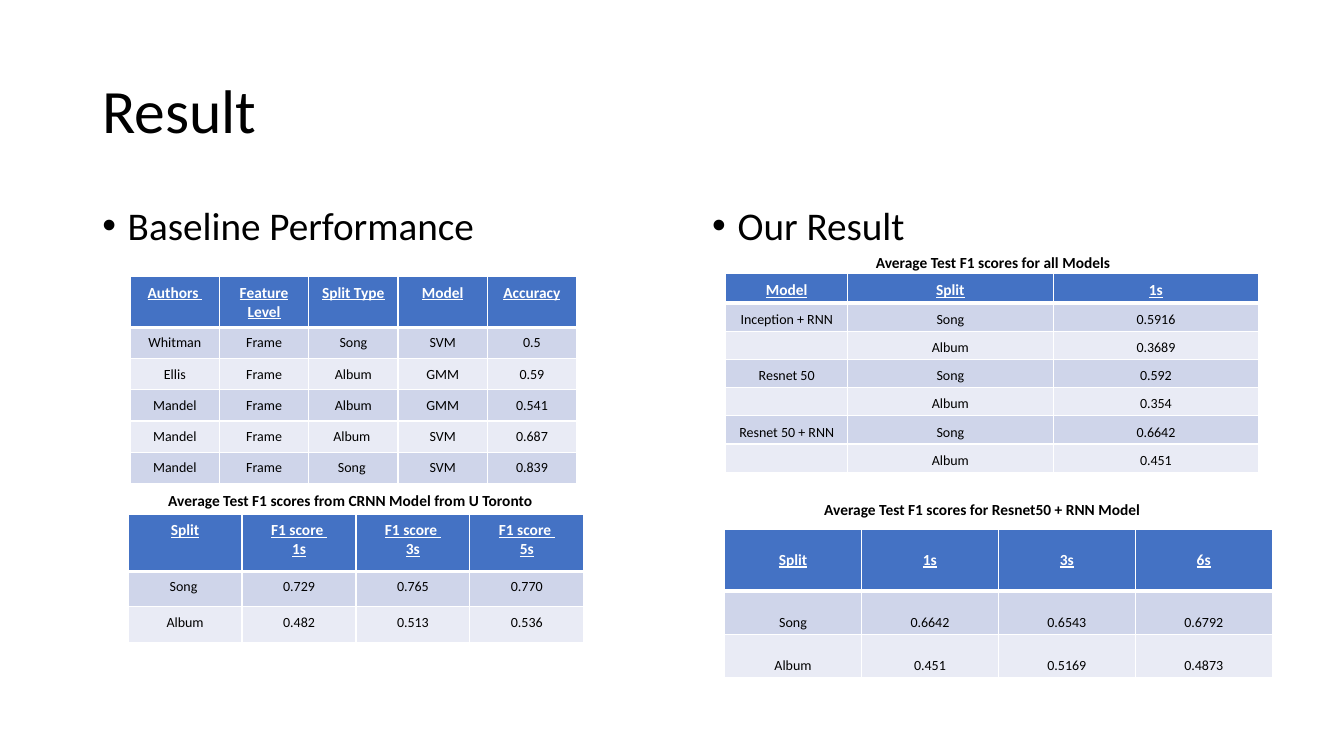
"""Build the Result slide with baseline and own F1 score tables."""
from lxml.etree import SubElement
from pptx import Presentation
from pptx.dml.color import RGBColor
from pptx.enum.text import MSO_ANCHOR, PP_ALIGN
from pptx.oxml.ns import qn
from pptx.util import Cm, Pt


def style(p, size, color="000000", bold=False, underline=False, align=PP_ALIGN.LEFT):
    p.alignment = align
    for r in p.runs:
        r.font.name = "Calibri"
        r.font.size = Pt(size)
        r.font.bold = bold
        r.font.underline = underline
        r.font.color.rgb = RGBColor.from_string(color)
    if not p.runs:
        SubElement(p._p, qn("a:endParaRPr"), sz=str(size * 100))


def add_text(s, text, left, top, width, height):
    tf = s.shapes.add_textbox(Cm(left), Cm(top), Cm(width), Cm(height)).text_frame
    tf.word_wrap = True
    tf.text = text
    return tf


prs = Presentation()
prs.slide_width, prs.slide_height = Cm(33.87), Cm(19.05)
s = prs.slides.add_slide(prs.slide_layouts[6])

tf = add_text(s, "Result", 2.33, 1.01, 29.21, 3.68)
tf.vertical_anchor = MSO_ANCHOR.MIDDLE
tf.paragraphs[0].line_spacing = 0.9
style(tf.paragraphs[0], 44)

for heading, left in [("Baseline Performance", 2.33), ("Our Result", 17.7)]:
    p = add_text(s, heading, left, 5.07, 14.4, 12.09).paragraphs[0]
    p.line_spacing = 0.9
    pPr = p._p.get_or_add_pPr()
    pPr.set("marL", str(Cm(0.64)))
    pPr.set("indent", str(Cm(-0.64)))
    SubElement(pPr, qn("a:buFont"), typeface="Arial")
    SubElement(pPr, qn("a:buChar"), char="•")
    style(p, 28)

TOP, MIDDLE, BOTTOM = MSO_ANCHOR.TOP, MSO_ANCHOR.MIDDLE, MSO_ANCHOR.BOTTOM
tables = [
    (3.28, 6.96, [2.25] * 5, 1.29, 0.78, 0.18, TOP, TOP, [
        ["Authors ", "Feature Level", "Split Type", "Model", "Accuracy"],
        ["Whitman", "Frame", "Song", "SVM", "0.5"],
        ["Ellis", "Frame", "Album", "GMM", "0.59"],
        ["Mandel", "Frame", "Album", "GMM", "0.541"],
        ["Mandel", "Frame", "Album ", "SVM", "0.687"],
        ["Mandel", "Frame", "Song ", "SVM", "0.839"],
    ]),
    (3.23, 12.95, [2.87] * 4, 1.45, 0.89, 0.18, TOP, TOP, [
        ["Split", "F1 score \n1s", "F1 score \n3s", "F1 score \n5s"],
        ["Song ", "0.729", "0.765", "0.770"],
        ["Album", "0.482", "0.513", "0.536"],
    ]),
    (18.29, 6.88, [3.07, 5.18, 5.18], 0.76, 0.71, 0.08, BOTTOM, BOTTOM, [
        ["Model", "Split", "1s"],
        ["Inception + RNN", "Song", "0.5916"],
        ["", "Album", "0.3689"],
        ["Resnet 50", "Song", "0.592"],
        ["", "Album", "0.354"],
        ["Resnet 50 + RNN", "Song", "0.6642"],
        ["", "Album", "0.451"],
    ]),
    (18.26, 13.34, [3.45] * 4, 1.55, 1.09, 0.08, MIDDLE, BOTTOM, [
        ["Split", "1s", "3s", "6s"],
        ["Song", "0.6642", "0.6543", "0.6792"],
        ["Album", "0.451", "0.5169", "0.4873"],
    ]),
]
for left, top, widths, head_height, row_height, margin, head_anchor, anchor, rows in tables:
    height = head_height + row_height * (len(rows) - 1)
    table = s.shapes.add_table(len(rows), len(widths), Cm(left), Cm(top),
                               Cm(sum(widths)), Cm(height)).table
    for column, width in zip(table.columns, widths):
        column.width = Cm(width)
    for i, row in enumerate(rows):
        head = i == 0
        table.rows[i].height = Cm(head_height if head else row_height)
        for j, text in enumerate(row):
            cell = table.cell(i, j)
            cell.text = text
            cell.margin_left = cell.margin_right = Cm(margin)
            cell.margin_top = cell.margin_bottom = Cm(margin)
            cell.vertical_anchor = head_anchor if head else anchor
            for p in cell.text_frame.paragraphs:
                if head:
                    style(p, 11, "FFFFFF", True, True, PP_ALIGN.CENTER)
                else:
                    style(p, 10, align=PP_ALIGN.CENTER)
            for side in "LRTB":
                thick = (i, side) in [(0, "B"), (1, "T")]
                ln = SubElement(cell._tc.get_or_add_tcPr(), qn(f"a:ln{side}"),
                                w=str(Pt(3 if thick else 1)))
                SubElement(SubElement(ln, qn("a:solidFill")), qn("a:srgbClr"), val="FFFFFF")
            fill = "4472C4" if head else "CFD5EA" if i % 2 else "E9EBF5"
            cell.fill.solid()
            cell.fill.fore_color.rgb = RGBColor.from_string(fill)

captions = [
    ("Average Test F1 scores for Resnet50 + RNN Model", 20.52, 12.47, PP_ALIGN.LEFT),
    ("Average Test F1 scores for all Models", 20.09, 6.25, PP_ALIGN.CENTER),
    ("Average Test F1 scores from CRNN Model from U Toronto", 3.99, 12.24, PP_ALIGN.LEFT),
]
for text, left, top, align in captions:
    tf = add_text(s, text, left, top, 9.88, 0.73)
    style(tf.paragraphs[0], 11, bold=True, align=align)

prs.save("out.pptx")
